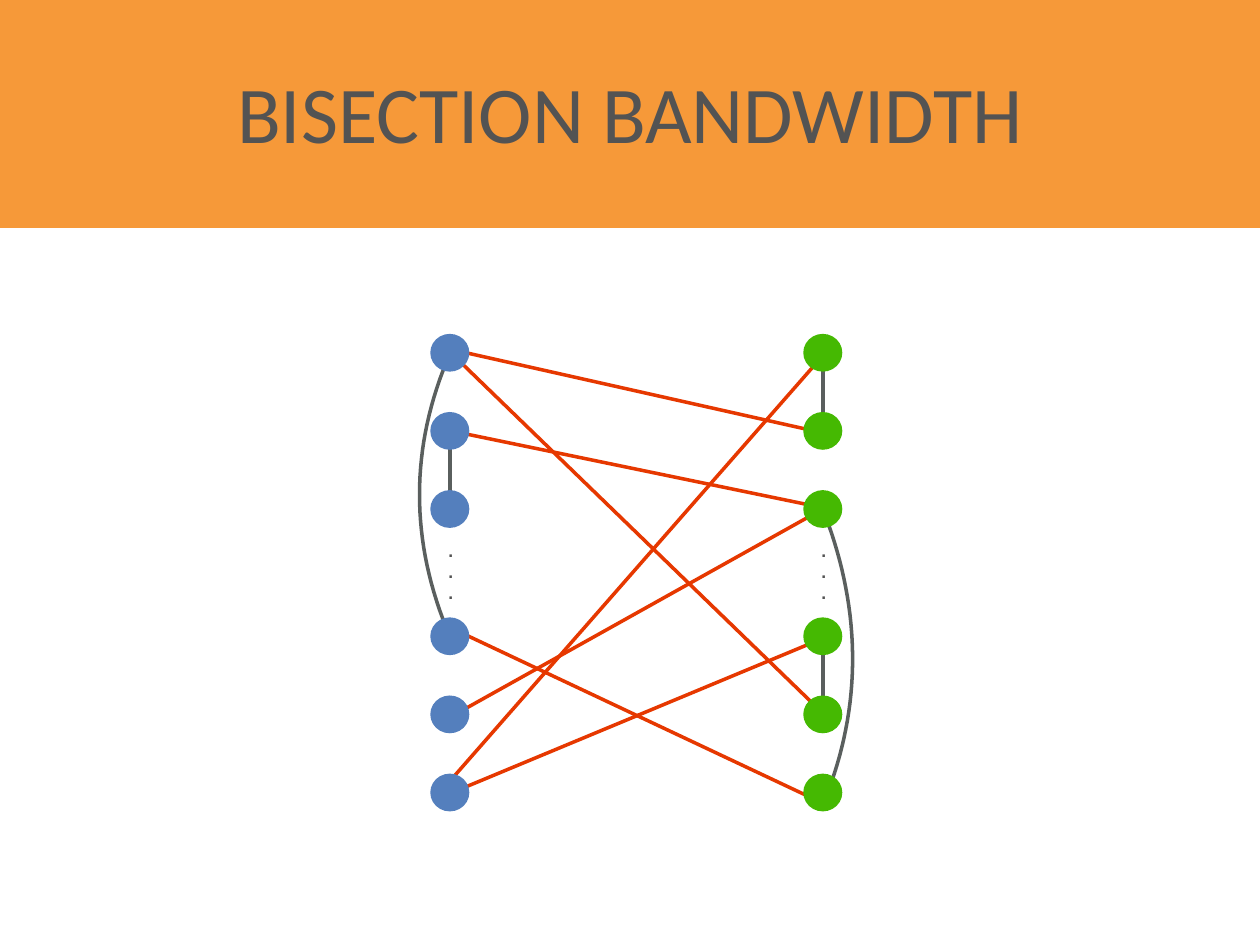
from pptx import Presentation
from pptx.dml.color import RGBColor
from pptx.enum.shapes import MSO_CONNECTOR as CONNECTOR, MSO_SHAPE as SHAPE
from pptx.enum.text import MSO_ANCHOR as ANCHOR, PP_ALIGN as ALIGN
from pptx.oxml.ns import qn
from pptx.util import Inches, Pt

ORANGE = RGBColor(0xF6, 0x99, 0x39)
TEXT_GRAY = RGBColor(0x53, 0x53, 0x53)
LINK_GRAY = RGBColor(0x5A, 0x5F, 0x5E)
RED = RGBColor(0xE6, 0x38, 0x00)
BLUE = RGBColor(0x54, 0x7F, 0xBD)
GREEN = RGBColor(0x45, 0xB9, 0x02)

# Content
TITLE = "BISECTION BANDWIDTH"
LEFT_X, RIGHT_X = 3.57, 6.53
HALVES = [(LEFT_X, BLUE), (RIGHT_X, GREEN)]
GROUP_TOPS = [2.8, 5.05]          # first node centre above and below the dots
NODE_STEP = 0.62
NODE_Y = [top + i * NODE_STEP for top in GROUP_TOPS for i in range(3)]
NODE_W, NODE_H = 0.31, 0.3

# Bezier control points of the links that bend around a half
CURVED_LINKS = [
    [(6.55, 6.34), (6.84, 5.61), (6.84, 4.86), (6.55, 4.09)],
    [(3.57, 5.05), (3.25, 4.3), (3.25, 3.55), (3.57, 2.81)],
]
# Column and the two node numbers joined inside a half
INNER_LINKS = [(LEFT_X, 2, 1), (RIGHT_X, 4, 3), (RIGHT_X, 1, 0)]
# Links that cross the bisection
CROSS_LINKS = [
    ((3.7, 2.8), (6.46, 3.42)),
    ((3.58, 3.42), (6.58, 4.04)),
    ((3.63, 5.66), (6.53, 4.04)),
    ((3.55, 4.97), (6.5, 6.36)),
    ((3.59, 6.29), (6.57, 5.05)),
    ((3.63, 2.85), (6.53, 5.66)),
    ((6.48, 2.88), (3.57, 6.2)),
]

prs = Presentation()
prs.slide_width, prs.slide_height = Inches(10), Inches(7.5)
slide = prs.slides.add_slide(prs.slide_layouts[6])
shapes = slide.shapes


def bezier_point(controls, t):
    weights = [(1 - t) ** 3, 3 * t * (1 - t) ** 2, 3 * t * t * (1 - t), t ** 3]
    return tuple(sum(w * p[axis] for w, p in zip(weights, controls))
                 for axis in (0, 1))


def style_line(line, color):
    line.color.rgb = color
    line.width = Pt(2)


def add_curve(controls, steps=32):
    points = [tuple(Inches(v) for v in bezier_point(controls, i / steps))
              for i in range(steps + 1)]
    builder = shapes.build_freeform(*points[0])
    builder.add_line_segments(points[1:], close=False)
    curve = builder.convert_to_shape()
    curve.shadow.inherit = False
    curve.fill.background()
    style_line(curve.line, LINK_GRAY)


def add_link(start, end, color):
    link = shapes.add_connector(CONNECTOR.STRAIGHT,
                                *(Inches(v) for v in start + end))
    style_line(link.line, color)
    link._element.spPr.append(
        link._element.makeelement(qn("a:effectLst"), {}))


def add_filled(kind, box, color):
    shape = shapes.add_shape(kind, *(Inches(v) for v in box))
    shape.shadow.inherit = False
    shape.fill.solid()
    shape.fill.fore_color.rgb = color
    shape.line.fill.background()
    return shape


def write_lines(frame, lines, margins, font_format):
    frame.word_wrap = True
    frame.vertical_anchor = ANCHOR.MIDDLE
    frame.margin_left = frame.margin_right = Inches(margins[0])
    frame.margin_top = frame.margin_bottom = Inches(margins[1])
    for i, words in enumerate(lines):
        paragraph = frame.paragraphs[0] if i == 0 else frame.add_paragraph()
        paragraph.alignment = ALIGN.CENTER
        run = paragraph.add_run()
        run.text = words
        run.font.color.rgb = TEXT_GRAY
        for name, value in font_format.items():
            setattr(run.font, name, value)


# Links, behind the nodes
for controls in CURVED_LINKS:
    add_curve(controls)
for x, first, second in INNER_LINKS:
    add_link((x, NODE_Y[first]), (x, NODE_Y[second]), LINK_GRAY)
for start, end in CROSS_LINKS:
    add_link(start, end, RED)

# Nodes and the dots between the two groups of each half
for x, color in HALVES:
    for y in NODE_Y:
        add_filled(SHAPE.OVAL,
                   (x - NODE_W / 2, y - NODE_H / 2, NODE_W, NODE_H), color)
    dots = shapes.add_textbox(Inches(x - 0.07), Inches(4.26),
                              Inches(0.14), Inches(0.56))
    write_lines(dots.text_frame, ["."] * 3, (0.06, 0.06),
                {"name": "Arial", "size": Pt(10), "bold": True})

# Title band
band = add_filled(SHAPE.RECTANGLE, (0, -0.05, 10, 1.86), ORANGE)
write_lines(band.text_frame, [TITLE], (0.1, 0.05),
            {"name": "Calibri", "size": Pt(46)})

prs.save("out.pptx")
